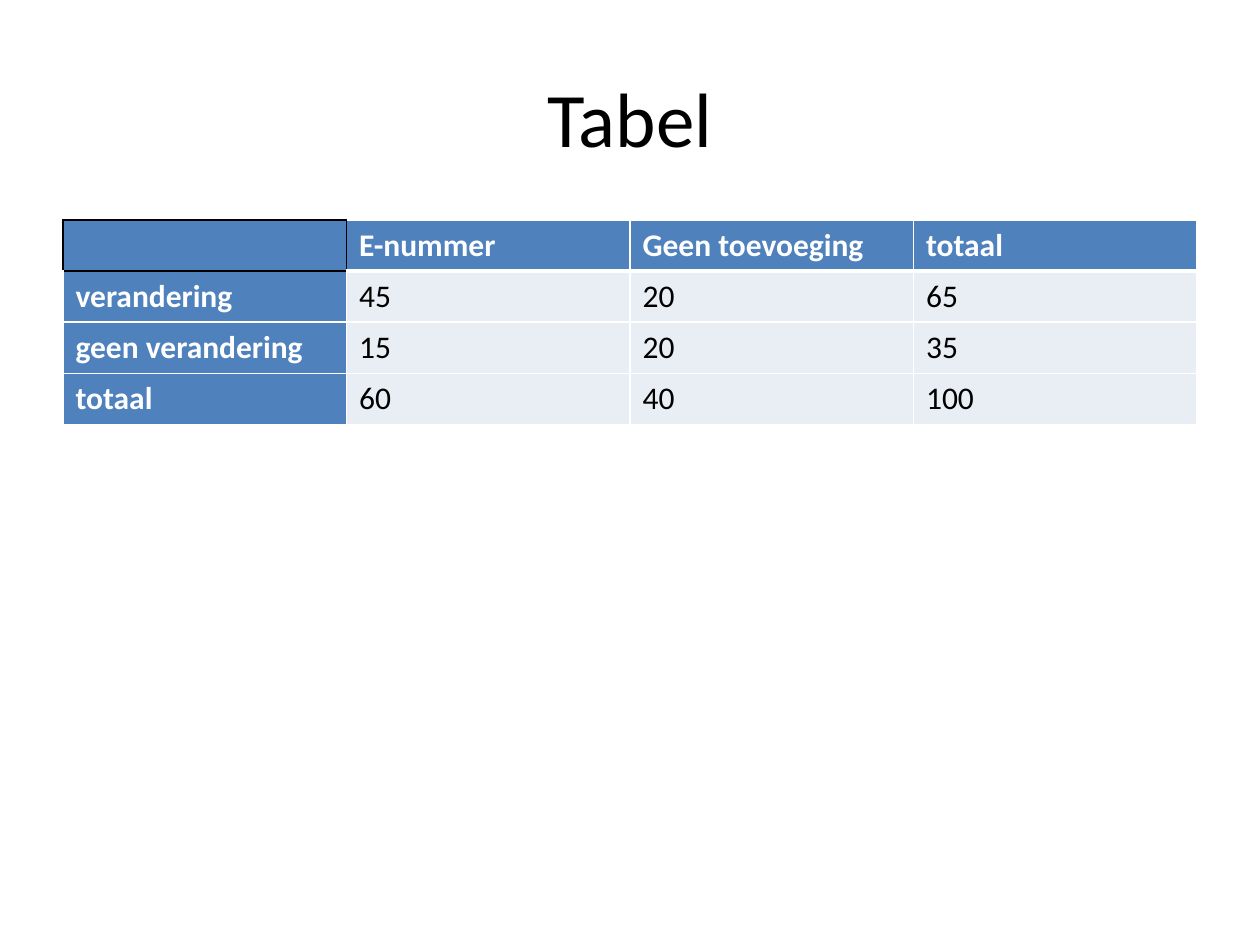
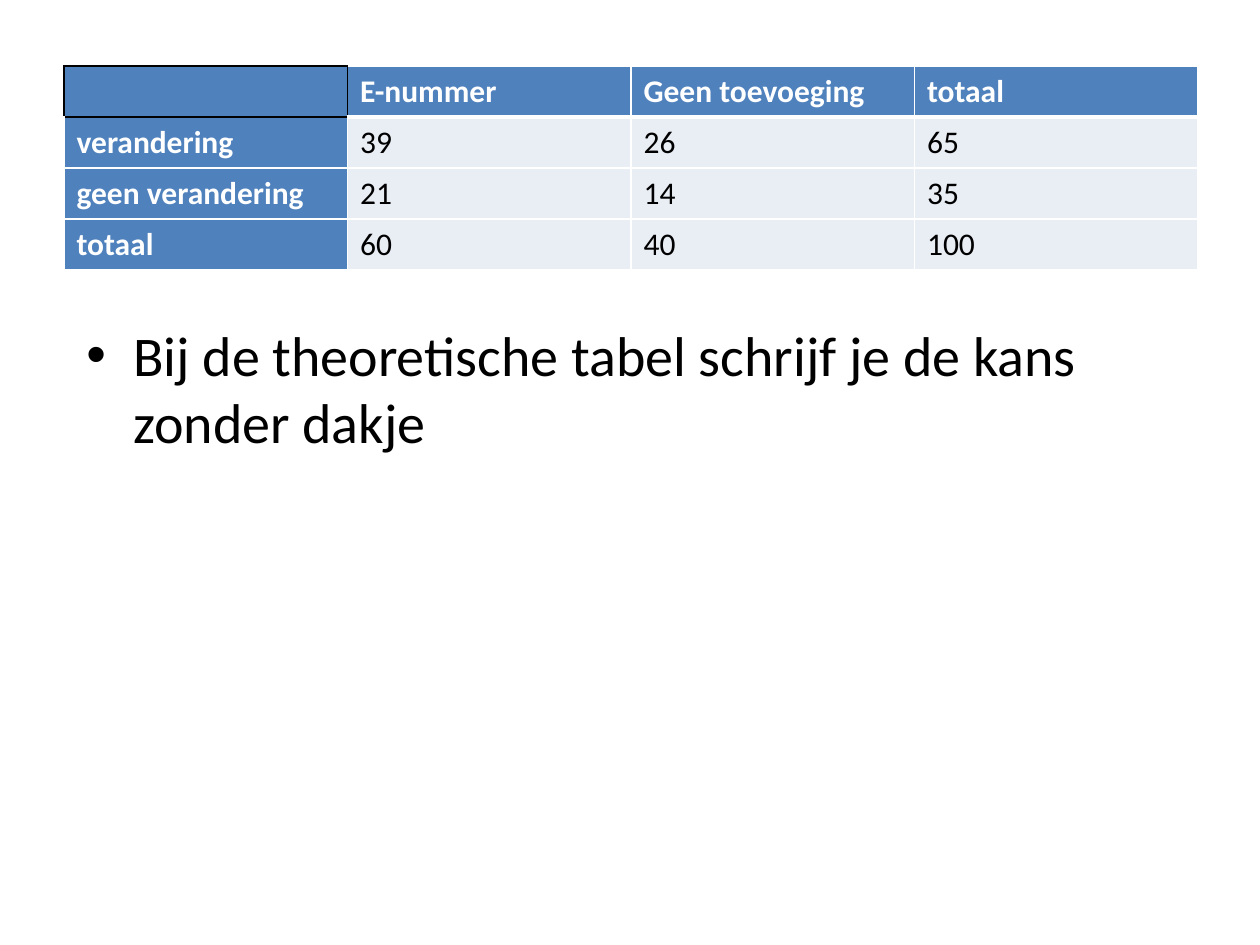
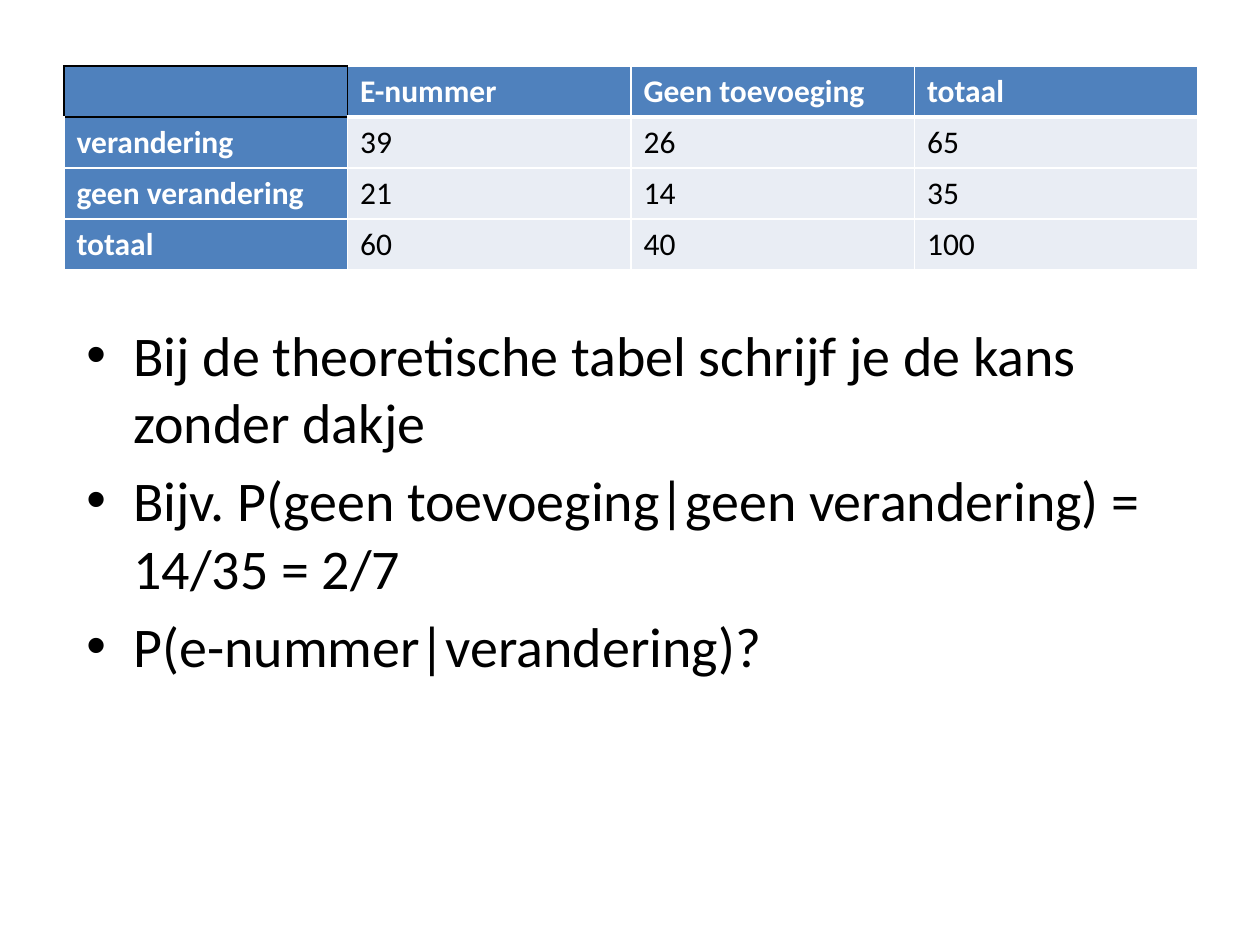
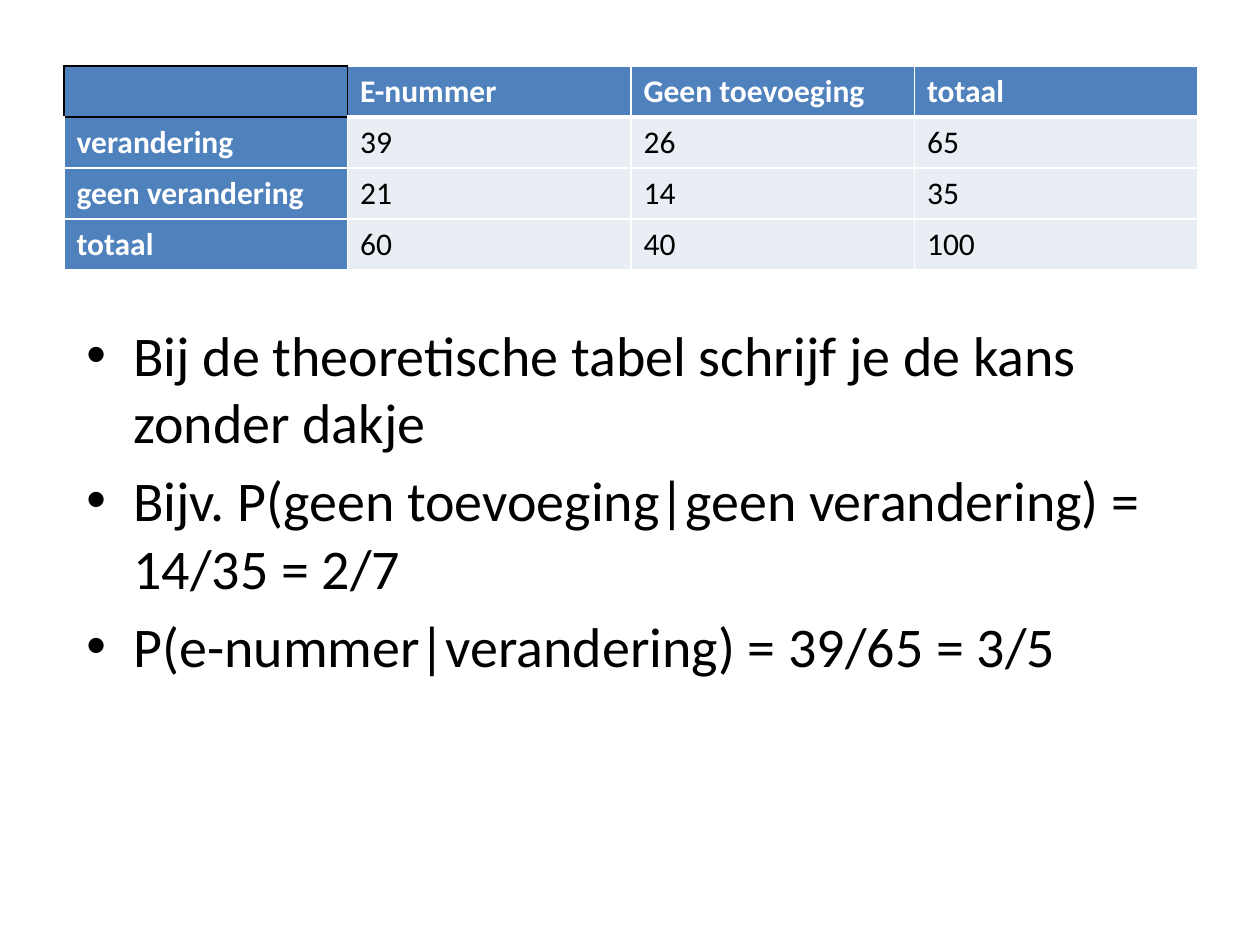
from lxml import etree
from pptx import Presentation
from pptx.dml.color import RGBColor
from pptx.enum.text import MSO_ANCHOR, PP_ALIGN
from pptx.oxml.ns import qn
from pptx.util import Emu, Pt

CENTER, LEFT = PP_ALIGN.CENTER, PP_ALIGN.LEFT
MIDDLE = MSO_ANCHOR.MIDDLE

EMU_PER_PX = 914400 / 126
TITLE_ONLY, BLANK = 5, 6
FONT = "Calibri"
BLACK, WHITE = "000000", "FFFFFF"
HEADER_BLUE, CELL_GREY = "4F81BD", "E9EDF4"

COLUMN_HEADS = ["", "E-nummer", "Geen toevoeging", "totaal"]
ROW_HEADS = ["verandering", "geen verandering", "totaal"]
OBSERVED = [[45, 20, 65], [15, 20, 35], [60, 40, 100]]
EXPECTED = [[39, 26, 65], [21, 14, 35], [60, 40, 100]]

RULE = "Bij de theoretische tabel schrijf je de kans zonder dakje"
EXAMPLE = "Bijv. P(geen toevoeging|geen verandering) = 14/35 = 2/7"
QUESTION = "P(e-nummer|verandering)?"
ANSWER = "P(e-nummer|verandering) = 39/65 = 3/5"


def px(length):
    return Emu(round(length * EMU_PER_PX))


def rgb(color):
    return RGBColor.from_string(color)


def place(shape, left, top, width, height):
    shape.left, shape.top = px(left), px(top)
    shape.width, shape.height = px(width), px(height)


def add_bullet(paragraph, indent):
    properties = paragraph._p.get_or_add_pPr()
    properties.set("marL", str(px(indent)))
    properties.set("indent", str(-px(indent)))
    etree.SubElement(properties, qn("a:buFont"), typeface="Arial")
    etree.SubElement(properties, qn("a:buChar"), char="•")


def write(text_frame, *lines, size=18, color=BLACK, bold=False, align=LEFT,
          bullet_indent=None, space_before=0):
    """Fill the frame with one paragraph per line, spaced after the first."""
    text_frame.word_wrap = True
    for index, line in enumerate(lines):
        paragraph = text_frame.add_paragraph() if index else text_frame.paragraphs[0]
        if bullet_indent:
            add_bullet(paragraph, bullet_indent)
        paragraph.text = line
        paragraph.alignment = align
        paragraph.space_before = Pt(space_before if index else 0)
        paragraph.font.name = FONT
        paragraph.font.size = Pt(size)
        paragraph.font.bold = bold
        paragraph.font.color.rgb = rgb(color)


def add_border(cell, side, color, width):
    line = etree.SubElement(cell._tc.get_or_add_tcPr(), qn(f"a:ln{side}"), w=str(Pt(width)))
    fill = etree.SubElement(line, qn("a:solidFill"))
    etree.SubElement(fill, qn("a:srgbClr"), val=color)


def add_borders(cell, row, column):
    """Outline the corner cell in black and underline the other heads thickly."""
    is_corner = row == column == 0
    black_sides = {
        "L": is_corner or (row, column) == (0, 1),
        "R": is_corner,
        "T": is_corner or (row, column) == (1, 0),
        "B": is_corner,
    }
    for side, is_black in black_sides.items():
        under_head = column > 0 and (row, side) in ((0, "B"), (1, "T"))
        add_border(cell, side, BLACK if is_black else WHITE, 3 if under_head else 1)


def add_cross_table(slide, left, top, values):
    rows = [COLUMN_HEADS] + [[head, *numbers] for head, numbers in zip(ROW_HEADS, values)]
    table = slide.shapes.add_table(
        len(rows), len(COLUMN_HEADS), px(left), px(top), px(1134), px(51 * len(rows))
    ).table
    table.first_col = True
    table.horz_banding = False
    for row, texts in enumerate(rows):
        for column, text in enumerate(texts):
            cell = table.cell(row, column)
            is_head = row == 0 or column == 0
            add_borders(cell, row, column)
            cell.fill.solid()
            cell.fill.fore_color.rgb = rgb(HEADER_BLUE if is_head else CELL_GREY)
            write(cell.text_frame, str(text), color=WHITE if is_head else BLACK, bold=is_head)


def add_title(slide, text):
    title = slide.shapes.title
    place(title, 63, 38, 1134, 158)
    title.text_frame.vertical_anchor = MIDDLE
    write(title.text_frame, text, size=44, align=CENTER)


def add_bullets(slide, lines):
    box = slide.shapes.add_textbox(px(74), px(314), px(1131), px(539))
    write(box.text_frame, *lines, size=32, bullet_indent=47, space_before=6.4)


def main():
    presentation = Presentation()
    presentation.slide_width, presentation.slide_height = px(1260), px(945)
    layouts = presentation.slide_layouts

    slide = presentation.slides.add_slide(layouts[TITLE_ONLY])
    add_title(slide, "Tabel")
    add_cross_table(slide, 63, 220, OBSERVED)

    for lines in ([RULE], [RULE, EXAMPLE, QUESTION], [RULE, EXAMPLE, ANSWER]):
        slide = presentation.slides.add_slide(layouts[BLANK])
        add_bullets(slide, lines)
        add_cross_table(slide, 64, 66, EXPECTED)

    presentation.save("out.pptx")


if __name__ == "__main__":
    main()
